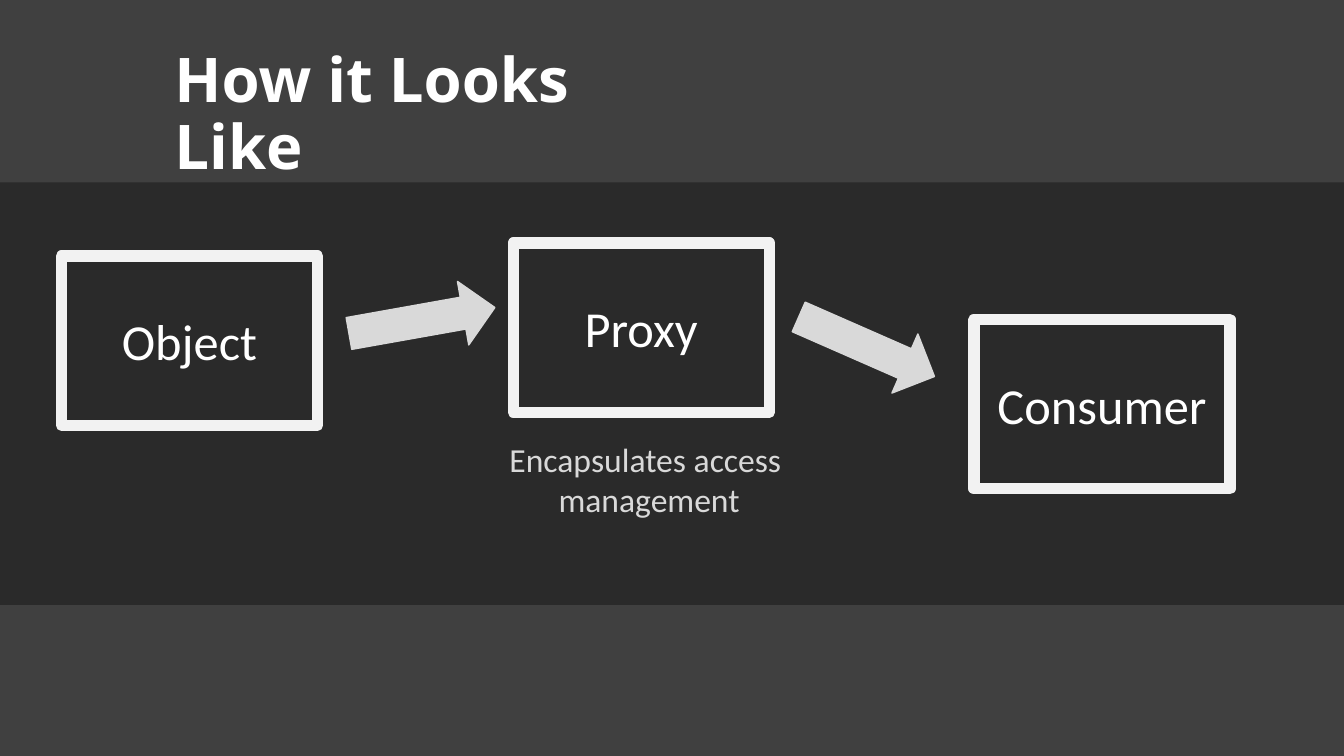
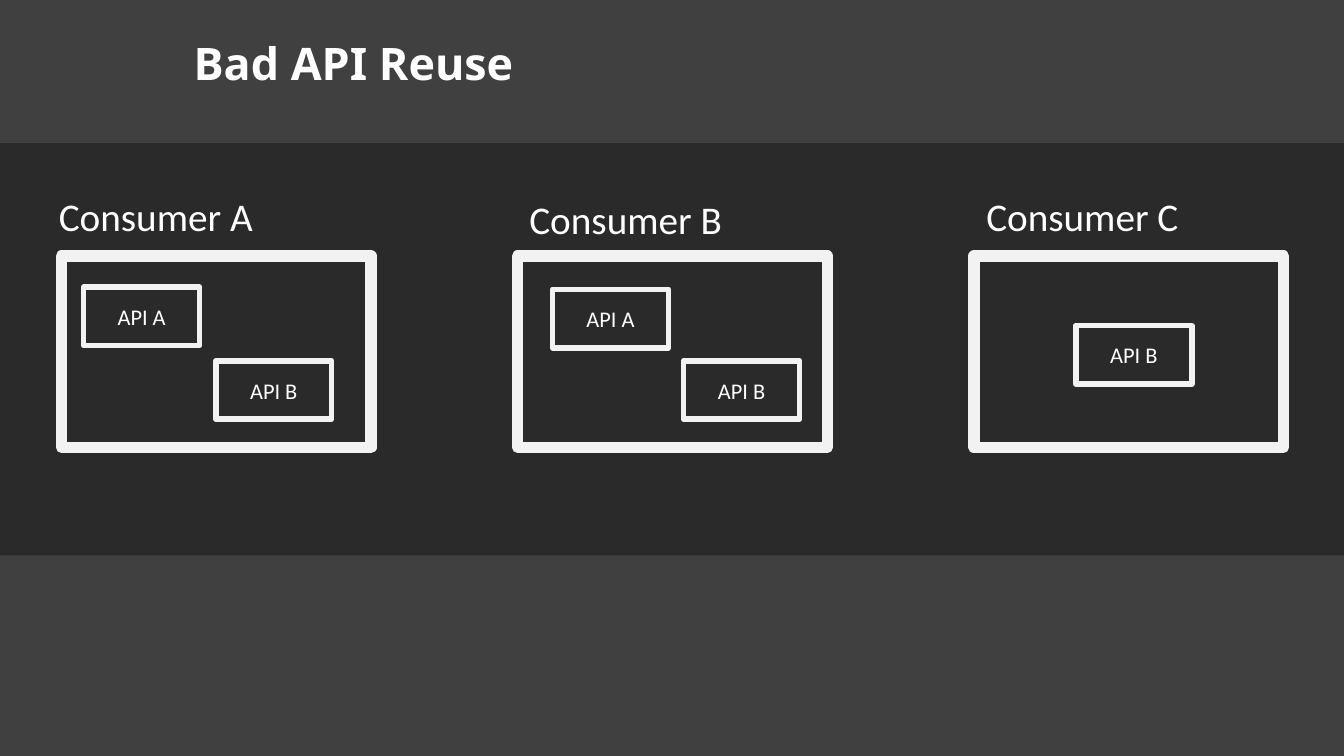
from lxml import etree
from pptx import Presentation
from pptx.dml.color import RGBColor
from pptx.enum import shapes as es, text as et
from pptx.oxml.ns import qn
from pptx.util import Inches, Pt

HUES = {"back": "404040", "band": "000000", "edge": "F2F2F2",
        "text": "FFFFFF", "soft": "D9D9D9"}
BODY, HEAD = "Calibri", "Noto Sans"
WIDE, HIGH = 13.33, 7.5

FLOW = {
    "title": ("How it Looks Like", 44, (1.63, 0.44, 4.69, 0.84)),
    "band": (1.81, 4.19),
    "boxes": [("Object", 0.61, 2.54), ("Proxy", 5.09, 2.41),
              ("Consumer", 9.66, 3.17)],
    "arrows": [(3.45, 2.86, 349.9), (7.86, 3.12, 23.7)],
    "note": ("Encapsulates access\n management", (4.94, 4.3, 2.92, 0.91)),
}
REUSE = {
    "title": ("Bad API Reuse", 32, (1.82, 0.36, 11.32, 0.64)),
    "band": (1.42, 4.09),
    "users": [
        ("Consumer A", (0.47, 1.86), [("API A", 0.83, 2.85), ("API B", 2.14, 3.58)]),
        ("Consumer B", (5.13, 1.89), [("API A", 5.48, 2.87), ("API B", 6.78, 3.58)]),
        ("Consumer C", (9.66, 1.86), [("API B", 10.67, 3.23)]),
    ],
}
LEFT, STEP, TOP = 0.61, 4.525, 2.54
NODE, FRAME, CHIP = (2.54, 1.68), (3.07, 1.9), (1.15, 0.58)
ARROW, LABEL = (1.47, 0.64), (2.15, 0.57)


def hue(name):
    return RGBColor.from_string(HUES[name])


def write(shape, words, size, font=BODY, tone="text", bold=False,
          align=et.PP_ALIGN.CENTER):
    shape.text_frame.text = words
    for para in shape.text_frame.paragraphs:
        para.alignment = align
        for run in para.runs:
            run.font.size, run.font.name, run.font.bold = Pt(size), font, bold
            run.font.color.rgb = hue(tone)


def draw(slide, kind, at, fill=None, line=None, width=1):
    shape = slide.shapes.add_shape(kind, *map(Inches, at))
    shape.shadow.inherit = False
    if fill:
        shape.fill.solid()
        shape.fill.fore_color.rgb = hue(fill)
    else:
        shape.fill.background()
    if line:
        shape.line.color.rgb = hue(line)
        shape.line.width = Pt(width)
    else:
        shape.line.fill.background()
    return shape


def box(slide, at, width, words="", size=16):
    shape = draw(slide, es.MSO_SHAPE.RECTANGLE, at, line="edge", width=width)
    if words:
        shape.text_frame.vertical_anchor = et.MSO_ANCHOR.MIDDLE
        write(shape, words, size)


def label(slide, words, at, size, tone="text"):
    shape = slide.shapes.add_textbox(*map(Inches, at))
    shape.text_frame.word_wrap = False
    write(shape, words, size, tone=tone)


def start(deck, data):
    slide = deck.slides.add_slide(deck.slide_layouts[5])
    title = slide.shapes.title
    words, size, at = data["title"]
    title.left, title.top, title.width, title.height = map(Inches, at)
    frame = title.text_frame
    frame.word_wrap = True
    frame.auto_size = et.MSO_AUTO_SIZE.SHAPE_TO_FIT_TEXT
    frame.vertical_anchor = et.MSO_ANCHOR.TOP
    write(title, words, size, HEAD, bold=True, align=et.PP_ALIGN.LEFT)
    frame.paragraphs[0].line_spacing = 0.9
    top, high = data["band"]
    band = draw(slide, es.MSO_SHAPE.RECTANGLE, (0, top, WIDE, high), "band")
    tint = band._element.spPr.find(".//" + qn("a:srgbClr"))
    etree.SubElement(tint, qn("a:alpha")).set("val", "34000")
    title._element.addprevious(band._element)
    return slide


deck = Presentation()
deck.slide_width, deck.slide_height = Inches(WIDE), Inches(HIGH)
back = deck.slide_master.background.fill
back.solid()
back.fore_color.rgb = hue("back")

flow = start(deck, FLOW)
for name, x, y in FLOW["boxes"]:
    box(flow, (x, y, *NODE), 8, name, 36)
for x, y, turn in FLOW["arrows"]:
    arrow = draw(flow, es.MSO_SHAPE.RIGHT_ARROW, (x, y, *ARROW), "soft", "soft")
    arrow.rotation = turn
label(flow, *FLOW["note"], 24, "soft")

reuse = start(deck, REUSE)
for i, (name, spot, chips) in enumerate(REUSE["users"]):
    box(reuse, (LEFT + i * STEP, TOP, *FRAME), 8)
    label(reuse, name, (*spot, *LABEL), 28)
    for api, x, y in chips:
        box(reuse, (x, y, *CHIP), 4, api)

deck.save("out.pptx")
